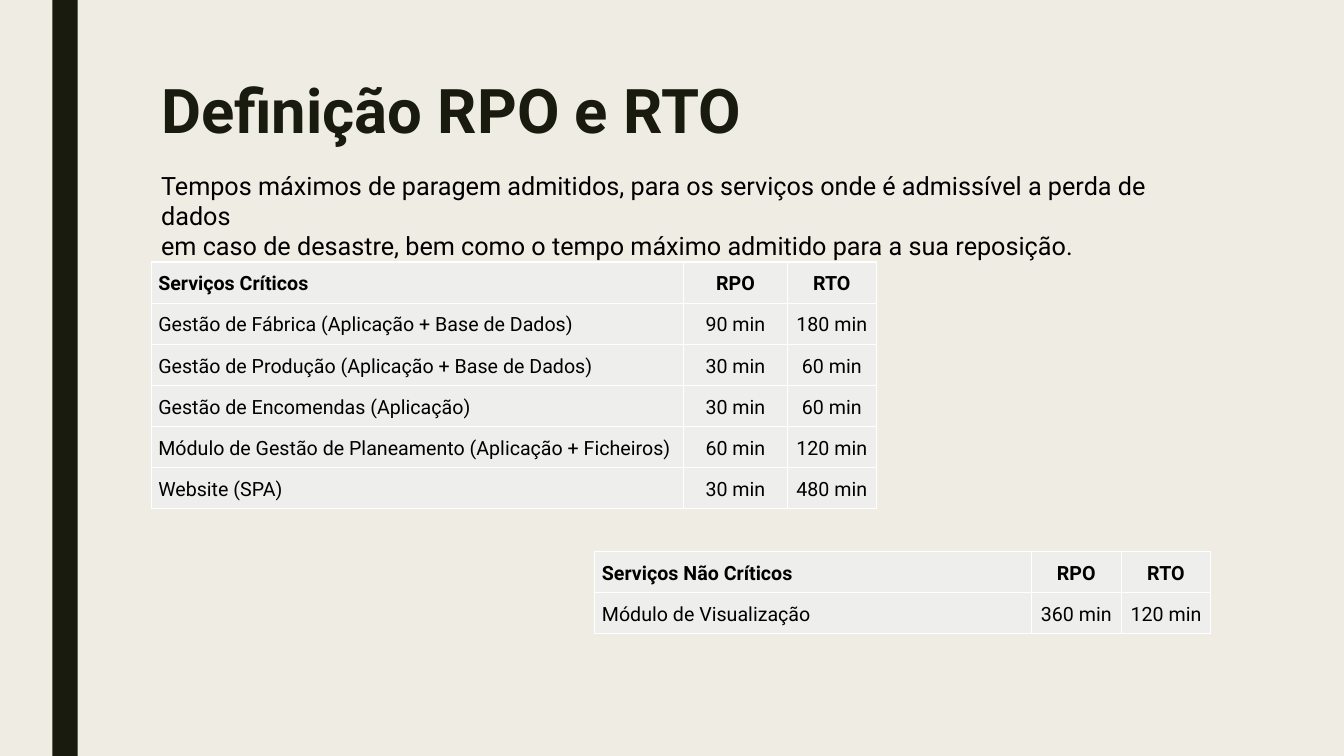
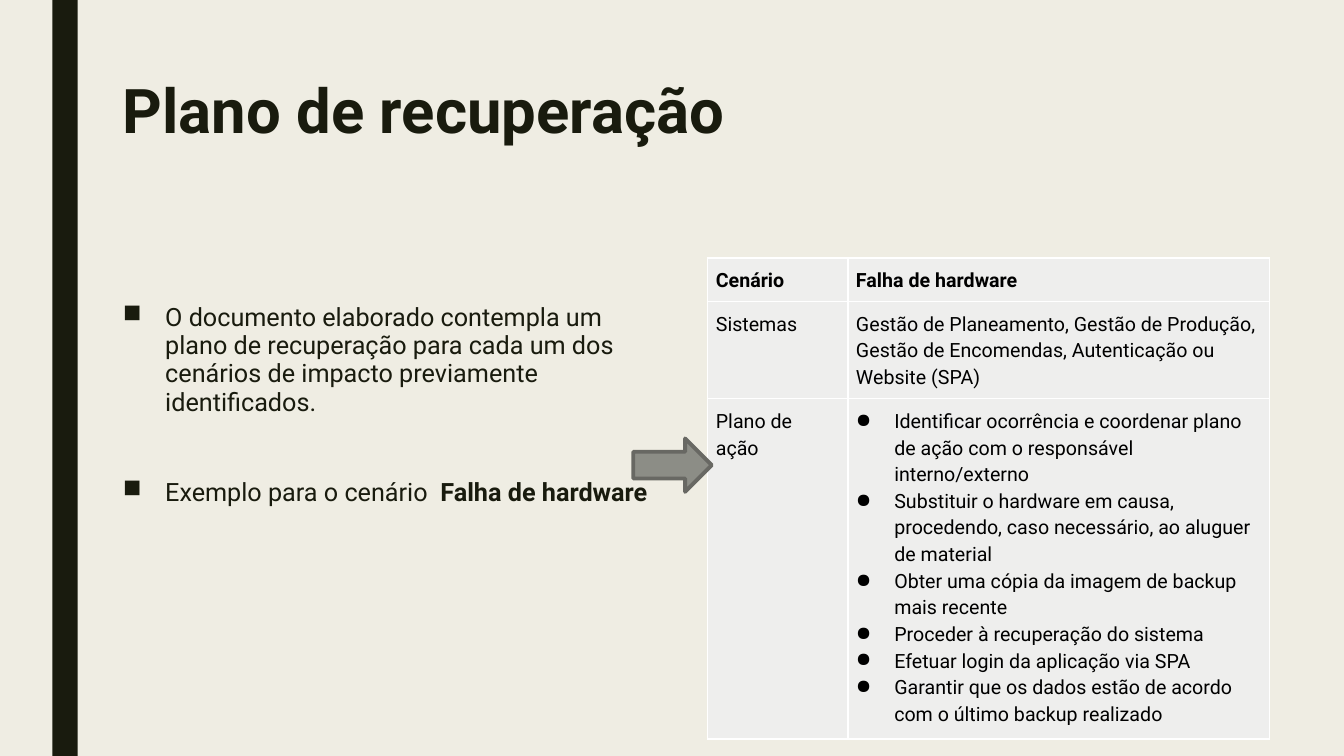
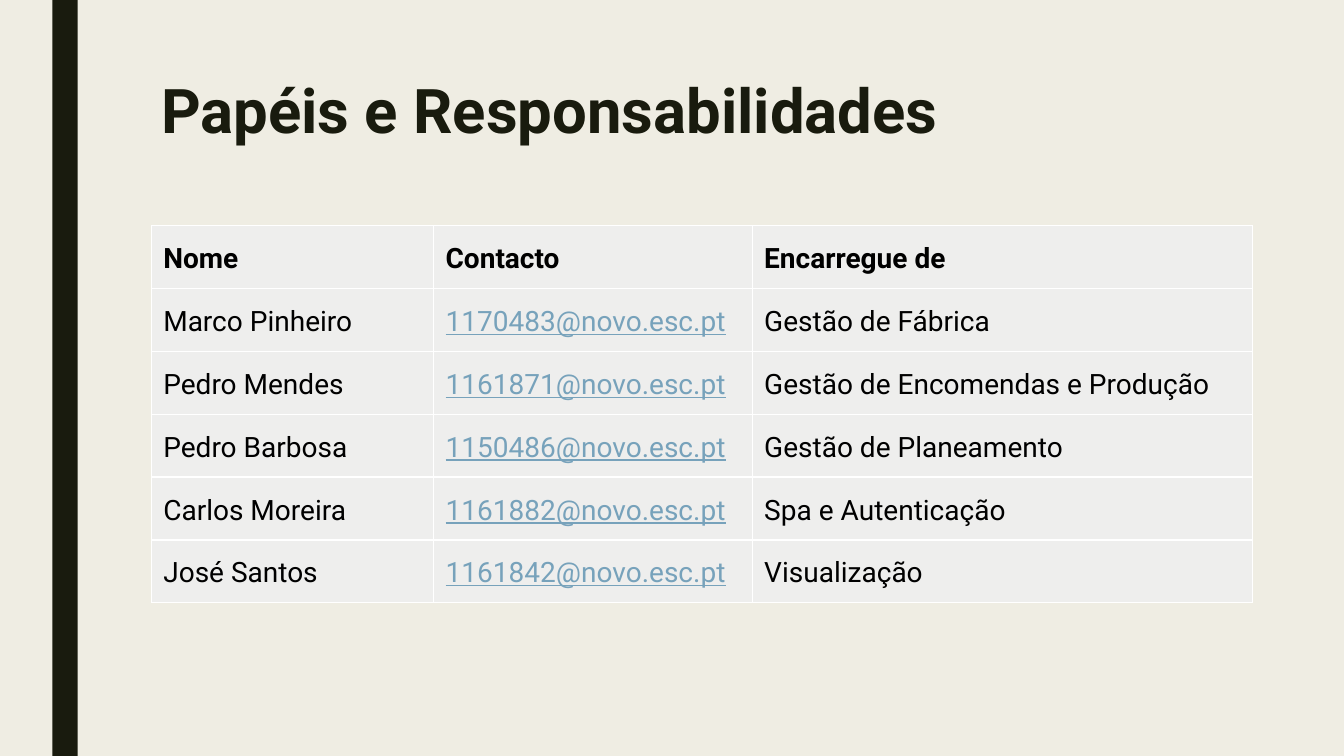
"""Build three slides on recovery targets, the recovery plan and roles."""
from lxml.etree import SubElement
from pptx import Presentation
from pptx.dml.color import RGBColor
from pptx.enum.shapes import MSO_SHAPE as Preset
from pptx.enum.text import PP_ALIGN as Align
from pptx.oxml.ns import qn
from pptx.util import Inches, Pt

SAND = RGBColor(0xEF, 0xED, 0xE3)
INK = RGBColor(0x19, 0x1B, 0x0E)
BLACK = RGBColor(0x00, 0x00, 0x00)
CELL = RGBColor(0xEE, 0xEE, 0xED)
WHITE = RGBColor(0xFF, 0xFF, 0xFF)
LINK = RGBColor(0x77, 0xA2, 0xBB)
ARROW = RGBColor(0x8C, 0x8D, 0x86)
ARROW_EDGE = RGBColor(0x68, 0x68, 0x63)
FONT = "Roboto"


class SlideBuilder:
    """Hold the shared style and draw elements on the current slide."""

    def __init__(self):
        self.deck = Presentation()
        self.deck.slide_width = Inches(13.33)
        self.deck.slide_height = Inches(7.5)
        background = self.deck.slide_master.background.fill
        background.solid()
        background.fore_color.rgb = SAND
        self.slide = None

    def start(self, title, left, width, height):
        """Add a slide with its side band and title."""
        self.slide = self.deck.slides.add_slide(self.deck.slide_layouts[6])
        self.shape(Preset.RECTANGLE, 0.52, 0, 0.25, 7.5, INK)
        frame = self.text_frame(left, 0.75, width, height)
        self.add_span(frame.paragraphs[0], title, 44, INK, bold=True, spacing=0.89)

    def shape(self, preset, left, top, width, height, fill, edge=None):
        """Add a flat preset shape, with an outline if an edge colour is given."""
        shape = self.slide.shapes.add_shape(
            preset, Inches(left), Inches(top), Inches(width), Inches(height))
        shape.shadow.inherit = False
        shape.fill.solid()
        shape.fill.fore_color.rgb = fill
        if edge is None:
            shape.line.fill.background()
        else:
            shape.line.color.rgb = edge
            shape.line.width = Pt(2.75)

    def text_frame(self, left, top, width, height):
        """Add a wrapping text box and return its frame."""
        box = self.slide.shapes.add_textbox(
            Inches(left), Inches(top), Inches(width), Inches(height))
        box.text_frame.word_wrap = True
        return box.text_frame

    def add_span(self, para, text, size, color, bold=False, spacing=1.0):
        """Add one styled run to a paragraph."""
        para.line_spacing = spacing
        span = para.add_run()
        span.text = text
        span.font.name = FONT
        span.font.size = Pt(size)
        span.font.bold = bold
        span.font.color.rgb = color
        return span

    def paragraphs(self, frame, count):
        """Return the given number of paragraphs of an empty frame."""
        return [frame.paragraphs[0]] + [frame.add_paragraph() for _ in range(count - 1)]

    def bullet(self, para, char, indent):
        """Give a paragraph a hanging bullet."""
        properties = para._p.get_or_add_pPr()
        properties.set("marL", str(Inches(indent)))
        properties.set("indent", str(-Inches(indent)))
        SubElement(properties, qn("a:buChar"), char=char)

    def intro(self, lines):
        """Add the plain lines below the title."""
        frame = self.text_frame(1.5, 1.64, 10.33, 0.71)
        for para, line in zip(self.paragraphs(frame, len(lines)), lines):
            self.add_span(para, line, 18, BLACK)

    def body(self, items):
        """Add square-bulleted items, each a list of (text, bold) runs."""
        frame = self.text_frame(1.12, 2.5, 5.55, 3.92)
        frame.margin_top = Inches(0.51)
        for para, runs in zip(self.paragraphs(frame, len(items)), items):
            for text, bold in runs:
                self.add_span(para, text, 18, INK, bold, spacing=0.94)
            para.space_after = Pt(44)
            self.bullet(para, "■", 0.42)

    def table(self, left, top, columns, heights, rows, size, inset, centred=()):
        """Add a table whose first row is bold; a list in a cell becomes bullets."""
        table = self.slide.shapes.add_table(
            len(rows), len(columns), Inches(left), Inches(top),
            Inches(sum(columns)), Inches(sum(heights))).table
        table.first_row = table.horz_banding = False
        for column, width in zip(table.columns, columns):
            column.width = Inches(width)
        for row, height in zip(table.rows, heights):
            row.height = Inches(height)
        for r, values in enumerate(rows):
            for c, value in enumerate(values):
                cell = table.cell(r, c)
                self.style_cell(cell, inset)
                lines = value if isinstance(value, list) else [value]
                for para, line in zip(self.paragraphs(cell.text_frame, len(lines)), lines):
                    is_link = "@" in line
                    color = LINK if is_link else BLACK
                    span = self.add_span(para, line, size, color, r == 0, 1.15)
                    span.font.underline = is_link
                    para.alignment = Align.CENTER if c in centred else Align.LEFT
                    if isinstance(value, list):
                        self.bullet(para, "●", 0.38)

    def style_cell(self, cell, inset):
        """Set the margins, white borders and fill of a cell."""
        cell.margin_left = cell.margin_right = Inches(inset)
        cell.margin_top = cell.margin_bottom = Inches(inset)
        properties = cell._tc.get_or_add_tcPr()
        for side in ("lnL", "lnR", "lnT", "lnB"):
            border = SubElement(properties, qn(f"a:{side}"), w=str(Pt(1)))
            fill = SubElement(border, qn("a:solidFill"))
            SubElement(fill, qn("a:srgbClr"), val=str(WHITE))
        cell.fill.solid()
        cell.fill.fore_color.rgb = CELL


def build_targets(builder):
    """Build the slide of recovery point and recovery time targets."""
    builder.start("Definição RPO e RTO", 1.5, 10.5, 0.77)
    critical = [
        ("Serviços Críticos", "RPO", "RTO"),
        ("Gestão de Fábrica (Aplicação + Base de Dados)", "90 min", "180 min"),
        ("Gestão de Produção (Aplicação + Base de Dados)", "30 min", "60 min"),
        ("Gestão de Encomendas (Aplicação)", "30 min", "60 min"),
        ("Módulo de Gestão de Planeamento (Aplicação + Ficheiros)", "60 min", "120 min"),
        ("Website (SPA)", "30 min", "480 min"),
    ]
    other = [
        ("Serviços Não Críticos", "RPO", "RTO"),
        ("Módulo de Visualização", "360 min", "120 min"),
    ]
    for left, top, columns, rows in (
            (1.5, 2.6, (5.28, 1.03, 0.88), critical),
            (5.9, 5.47, (4.33, 0.89, 0.89), other)):
        builder.table(left, top, columns, [0.39] * len(rows), rows, 14, 0.07, (1, 2))
    builder.intro([
        "Tempos máximos de paragem admitidos, para os serviços onde é admissível "
        "a perda de dados",
        "em caso de desastre, bem como o tempo máximo admitido para a sua reposição.",
    ])


def build_plan(builder):
    """Build the slide of the recovery plan and its example."""
    builder.start("Plano de recuperação", 1.12, 11.48, 1.62)
    builder.body([
        [("O documento elaborado contempla um plano de recuperação para cada um dos "
          "cenários de impacto previamente identificados.", False)],
        [("Exemplo para o cenário  ", False), ("Falha de hardware", True)],
    ])
    actions = [
        "Identificar ocorrência e coordenar plano de ação com o responsável interno/externo",
        "Substituir o hardware em causa, procedendo, caso necessário, ao aluguer de material",
        "Obter uma cópia da imagem de backup mais recente",
        "Proceder à recuperação do sistema",
        "Efetuar login da aplicação via SPA",
        "Garantir que os dados estão de acordo com o último backup realizado",
    ]
    scenario = [
        ("Cenário", "Falha de hardware"),
        ("Sistemas", "Gestão de Planeamento, Gestão de Produção, Gestão de Encomendas, "
                     "Autenticação ou Website (SPA)"),
        ("Plano de ação", actions),
    ]
    builder.table(7.02, 2.56, (1.39, 4.18), (0.43, 0.9, 2.56), scenario, 14, 0.08)
    builder.shape(Preset.RIGHT_ARROW, 6.28, 4.35, 0.78, 0.53, ARROW, ARROW_EDGE)


def build_roles(builder):
    """Build the slide of contacts and responsibilities."""
    builder.start("Papéis e Responsabilidades", 1.5, 10.5, 1.62)
    people = [
        ("Marco Pinheiro", 1170483, "Gestão de Fábrica"),
        ("Pedro Mendes", 1161871, "Gestão de Encomendas e Produção"),
        ("Pedro Barbosa", 1150486, "Gestão de Planeamento"),
        ("Carlos Moreira", 1161882, "Spa e Autenticação"),
        ("José Santos", 1161842, "Visualização"),
    ]
    rows = [("Nome", "Contacto", "Encarregue de")]
    rows += [(name, f"{number}@novo.esc.pt", duty) for name, number, duty in people]
    builder.table(1.5, 2.24, (2.8, 3.16, 4.96), [0.6] * len(rows), rows, 20, 0.12)


builder = SlideBuilder()
build_targets(builder)
build_plan(builder)
build_roles(builder)
builder.deck.save("out.pptx")
